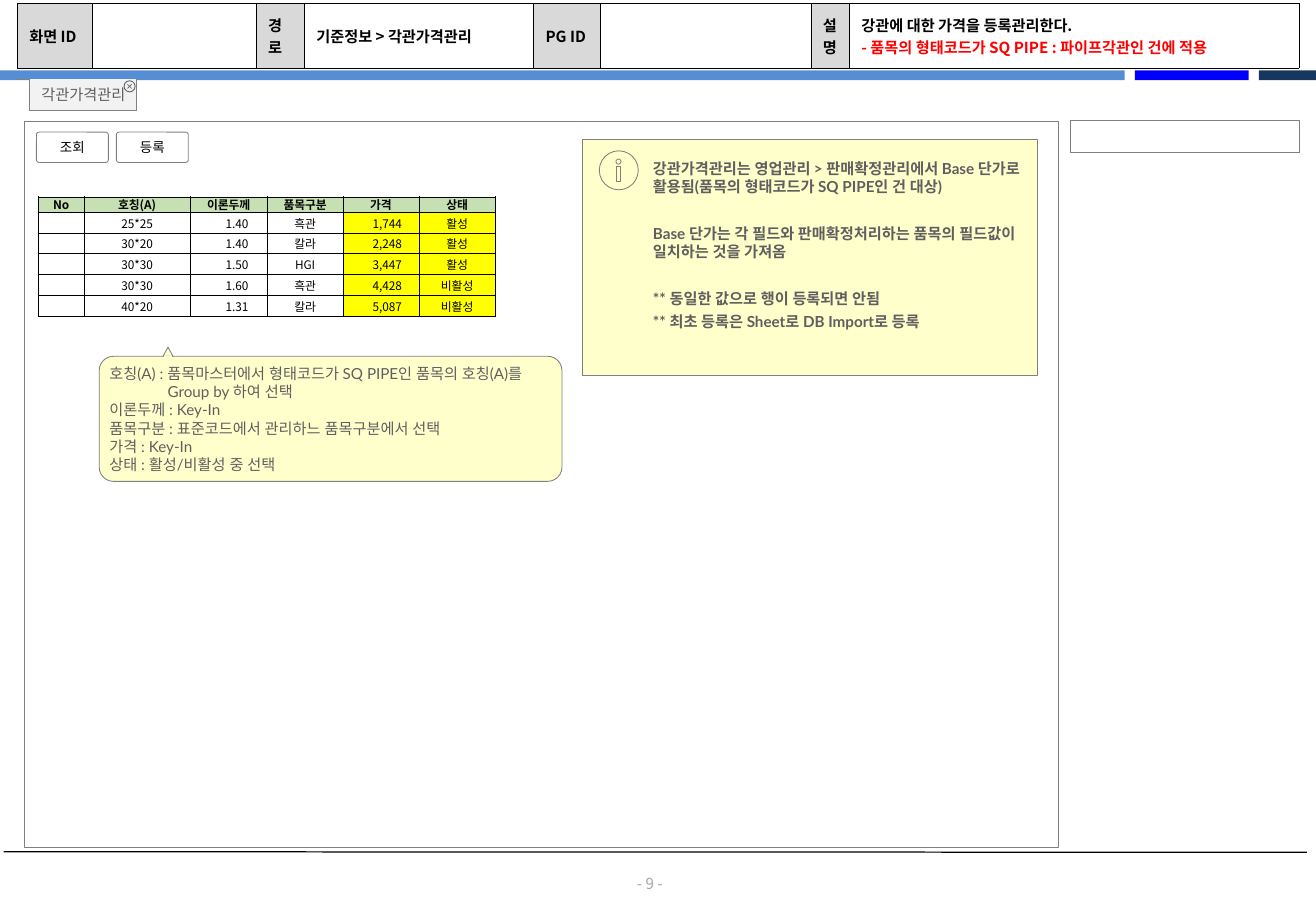
from lxml import etree
from pptx import Presentation, util as u
from pptx.dml.color import RGBColor
from pptx.enum import shapes as s, text as t
from pptx.oxml import parse_xml
from pptx.oxml.ns import nsdecls, qn

COLS, ROWS = 130, 90
UNIT = u.Inches(1) // 12  # one grid cell, both ways

BLACK = RGBColor(0, 0, 0)
WHITE = RGBColor(255, 255, 255)
RED = RGBColor(255, 0, 0)
SKY = RGBColor(0x55, 0x8E, 0xD5)
BLUE = RGBColor(0, 0, 255)
NAVY = RGBColor(0x17, 0x37, 0x5E)
LINE = RGBColor(0x80, 0x80, 0x80)
INK = RGBColor(0x5F, 0x5F, 0x5F)
PALE = RGBColor(0xA6, 0xA6, 0xA6)
LABEL = RGBColor(0xD9, 0xD9, 0xD9)
TAB = RGBColor(0xF2, 0xF2, 0xF2)
GREEN = RGBColor(0xC6, 0xE0, 0xB4)
YELLOW = RGBColor(255, 255, 0)
CREAM = RGBColor(255, 255, 0xCC)

SANS, LATO, ARIAL = "Noto Sans CJK KR", "Lato", "Arial"
LEFT, MID, RIGHT = t.PP_ALIGN.LEFT, t.PP_ALIGN.CENTER, t.PP_ALIGN.RIGHT
KIND = s.MSO_SHAPE

HEAD = [
    (7.4, "화면 ID"), (16.2, ""), (4.75, "경로"), (22.65, "기준정보 > 각관가격관리"),
    (6.6, "PG ID"), (20.8, ""), (3.8, "설명"),
    (44.45, ["강관에 대한 가격을 등록관리한다.",
             ("- 품목의 형태코드가 SQ PIPE : 파이프각관인 건에 적용", {"color": RED})]),
]
PRICES = [
    ["No", "호칭(A)", "이론두께", "품목구분", "가격", "상태"],
    ["", "25*25", "1.40", "흑관", "1,744", "활성"],
    ["", "30*20", "1.40", "칼라", "2,248", "활성"],
    ["", "30*30", "1.50", "HGI", "3,447", "활성"],
    ["", "30*30", "1.60", "흑관", "4,428", "비활성"],
    ["", "40*20", "1.31", "칼라", "5,087", "비활성"],
]
NOTES = [
    ("강관가격관리는 영업관리 > 판매확정관리에서 Base 단가로 활용됨(품목의 형태코드가 SQ PIPE인 건 대상)",
     {"after": 17}),
    ("Base 단가는 각 필드와 판매확정처리하는 품목의 필드값이 일치하는 것을 가져옴", {"after": 17}),
    ("** 동일한 값으로 행이 등록되면 안됨", {"after": 3}),
    "** 최초 등록은 Sheet로 DB Import로 등록",
]
FIELDS = [
    "호칭(A) : 품목마스터에서 형태코드가 SQ PIPE인 품목의 호칭(A)를",
    ("Group by 하여 선택", {"indent": 5.75}),
    "이론두께 : Key-In",
    "품목구분 : 표준코드에서 관리하느 품목구분에서 선택",
    "가격 : Key-In",
    "상태 : 활성/비활성 중 선택",
]


def grid(*cells):
    return [round(c * UNIT) for c in cells]


def style(para, text, size=9, font=SANS, color=BLACK, bold=False,
          align=LEFT, after=0, indent=0, pitch=None):
    para.alignment = align
    para.space_after = u.Pt(after)
    if pitch:
        para.line_spacing = pitch
    if indent:
        para._p.get_or_add_pPr().set("marL", str(grid(indent)[0]))
    if not text:
        etree.SubElement(para._p, qn("a:endParaRPr"), sz=str(size * 100))
        return
    run = para.add_run()
    run.text = text
    run.font.size, run.font.name, run.font.bold = u.Pt(size), font, bold
    run.font.color.rgb = color
    etree.SubElement(run._r.get_or_add_rPr(), qn("a:ea"), typeface=font)


def write(frame, lines, pad=(0, 0, 0, 0), anchor=t.MSO_ANCHOR.MIDDLE, wrap=True, **fmt):
    """Fill a text frame; a line is a text or a (text, format) pair."""
    frame.word_wrap, frame.vertical_anchor = wrap, anchor
    (frame.margin_left, frame.margin_top,
     frame.margin_right, frame.margin_bottom) = grid(*pad)
    for i, line in enumerate([lines] if isinstance(lines, str) else lines):
        text, own = (line, {}) if isinstance(line, str) else line
        para = frame.add_paragraph() if i else frame.paragraphs[0]
        style(para, text, **{**fmt, **own})


def paint(shape, fill=None, line=None):
    shape.shadow.inherit = False
    if fill is None:
        shape.fill.background()
    else:
        shape.fill.solid()
        shape.fill.fore_color.rgb = fill
    if line is None:
        shape.line.fill.background()
    else:
        shape.line.color.rgb, shape.line.width = line, u.Pt(0.5)
    return shape


def draw(slide, kind, box, fill=None, line=None, adj=None):
    shape = slide.shapes.add_shape(kind, *grid(*box))
    if adj is not None:
        shape.adjustments[0] = adj
    return paint(shape, fill, line)


def rule(slide, ends, color, width):
    line = slide.shapes.add_connector(s.MSO_CONNECTOR.STRAIGHT, *grid(*ends))
    line.line.color.rgb, line.line.width = color, u.Pt(width)
    etree.SubElement(line._element.spPr, qn("a:effectLst"))


def table(slide, left, top, wide, high):
    size = grid(left, top, sum(wide), sum(high))
    grid_table = slide.shapes.add_table(len(high), len(wide), *size).table
    grid_table.first_row = grid_table.horz_banding = False
    for parts, spans, side in ((grid_table.columns, wide, "width"),
                               (grid_table.rows, high, "height")):
        for part, span in zip(parts, spans):
            setattr(part, side, grid(span)[0])
    return grid_table


def enter(cell, lines, fill, pad, width, **fmt):
    """Fill one table cell and rule its four sides."""
    write(cell.text_frame, lines, **fmt)
    cell.vertical_anchor = t.MSO_ANCHOR.MIDDLE
    (cell.margin_left, cell.margin_top,
     cell.margin_right, cell.margin_bottom) = grid(*pad)
    cell.fill.solid()
    cell.fill.fore_color.rgb = fill
    props = cell._tc.get_or_add_tcPr()
    for i, side in enumerate("LRTB"):
        props.insert(i, parse_xml(
            f'<a:ln{side} {nsdecls("a")} w="{u.Pt(width)}"><a:solidFill>'
            f'<a:srgbClr val="{BLACK}"/></a:solidFill></a:ln{side}>'))


def header(slide):
    for left, wide, color in ((0, 111.1, SKY), (112.1, 11.25, BLUE), (124.35, 5.65, NAVY)):
        draw(slide, KIND.RECTANGLE, (left, 6.96, wide, 0.96), color)
    cells = table(slide, 1.7, 0.33, [wide for wide, _ in HEAD], [6.4])
    for i, (_, lines) in enumerate(HEAD):
        enter(cells.cell(0, i), lines, WHITE if i % 2 else LABEL,
              (1.2, 0.6, 1.2, 0.6), 0.25, bold=True)


def tab(slide):
    left, top, right, low = 2.95, 7.8, 13.5, 10.9
    rule(slide, (left, top, 1.7, top), LINE, 0.5)
    pen = slide.shapes.build_freeform(*grid(right, top))
    pen.add_line_segments([grid(right, low), grid(left, low), grid(left, top)], close=False)
    body = paint(pen.convert_to_shape(), TAB, LINE)
    write(body.text_frame, "각관가격관리", (0.6,) * 4, font=LATO, color=INK, align=MID)
    draw(slide, KIND.OVAL, (12.25, 7.98, 1.1, 1.1), line=INK)
    draw(slide, KIND.MATH_MULTIPLY, (12.4, 8.13, 0.8, 0.8), INK, adj=0.08)


def prices(slide):
    cells = table(slide, 3.8, 19.45, [4.5, 10.5, 7.6, 7.5, 7.5, 7.55], [1.5] + [2.06] * 5)
    inset = {2: 1.85, 4: 1.7}
    for r, row in enumerate(PRICES):
        for c, value in enumerate(row):
            fill = GREEN if r == 0 else YELLOW if c > 3 else WHITE
            figure = r > 0 and c in inset
            enter(cells.cell(r, c), value, fill,
                  (0.1, 0.1, inset[c] if figure else 0.1, 0), 0.5, size=7,
                  bold=r == 0, align=RIGHT if figure else MID,
                  pitch=None if r else 0.8)


def notes(slide):
    box = draw(slide, KIND.RECTANGLE, (57.55, 13.75, 44.9, 23.35), CREAM, LINE)
    write(box.text_frame, NOTES, (6.96, 1.95, 1.2, 0.6), t.MSO_ANCHOR.TOP,
          font=LATO, color=INK, bold=True)
    for kind, spot in ((KIND.OVAL, (59.2, 14.9, 3.85, 3.85)),
                       (KIND.OVAL, (60.85, 15.72, 0.5, 0.5)),
                       (KIND.RECTANGLE, (60.92, 16.44, 0.4, 1.44))):
        draw(slide, kind, spot, CREAM, LINE)


def fields(slide):
    box = draw(slide, KIND.ROUNDED_RECTANGLE, (9.8, 35.2, 45.72, 12.36), CREAM, LINE, 0.114)
    write(box.text_frame, FIELDS, (0.6, 0.36, 0.6, 0.36), t.MSO_ANCHOR.TOP,
          wrap=False, font=LATO, color=INK)
    draw(slide, KIND.ISOSCELES_TRIANGLE, (16.1, 34.3, 1, 0.9), CREAM, LINE)
    rule(slide, (17, 35.2, 16.2, 35.2), WHITE, 0.5)


def main():
    deck = Presentation()
    deck.slide_width, deck.slide_height = grid(COLS, ROWS)
    slide = deck.slides.add_slide(deck.slide_layouts[6])
    rule(slide, (0.35, 84.15, 129.1, 84.2), BLACK, 0.75)
    page = slide.shapes.add_textbox(*grid(60.6, 86.4, 7.2, 1.8))
    write(page.text_frame, "- 9 -", color=PALE, align=MID)
    draw(slide, KIND.RECTANGLE, (2.4, 12, 102.15, 71.75), line=LINE)
    header(slide)
    tab(slide)
    draw(slide, KIND.RECTANGLE, (105.75, 11.9, 22.6, 3.15), WHITE, LINE)
    for i, name in enumerate(("조회", "등록")):
        button = draw(slide, KIND.ROUNDED_RECTANGLE, (3.6 + 7.9 * i, 13.05, 7.1, 3),
                      line=LINE, adj=0.088)
        write(button.text_frame, name, size=8, font=ARIAL, align=MID)
    prices(slide)
    notes(slide)
    fields(slide)
    deck.save("out.pptx")


if __name__ == "__main__":
    main()
